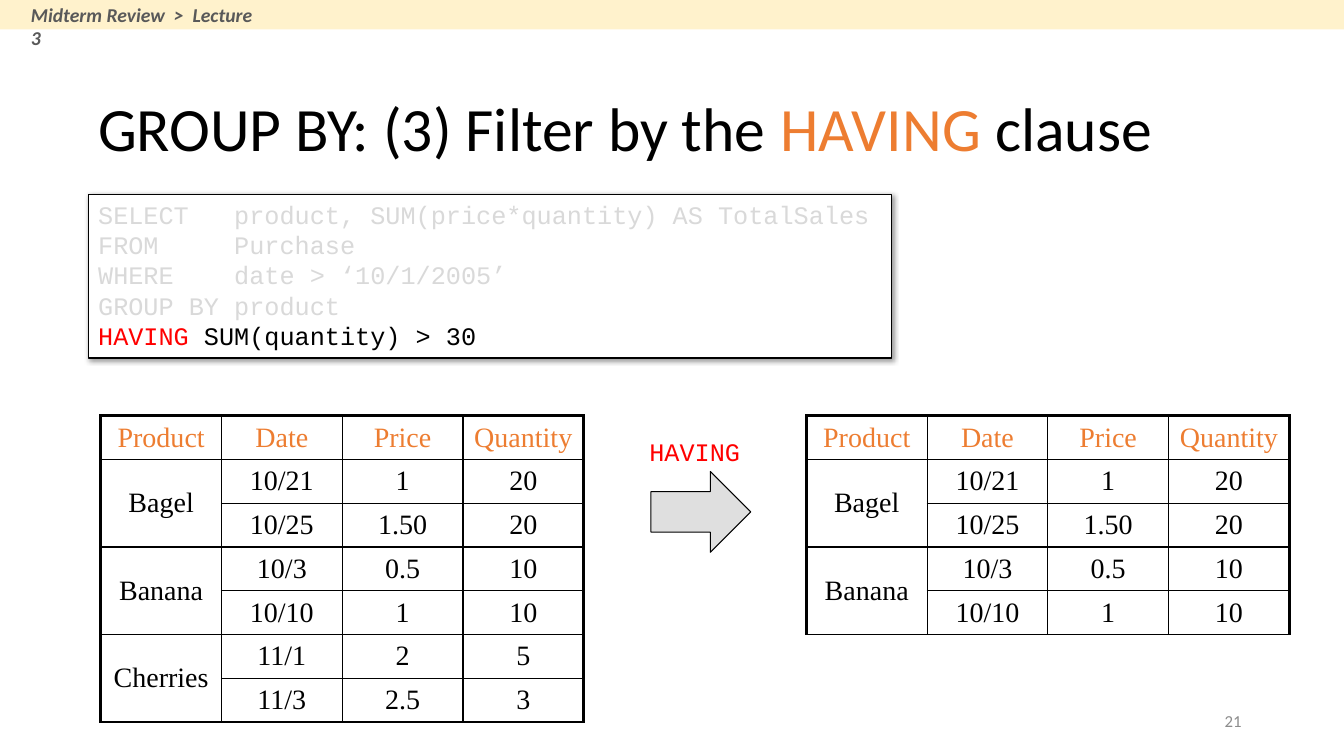
from lxml import etree
from pptx import Presentation
from pptx import util as u
from pptx.dml import color
from pptx.enum import shapes, text
from pptx.oxml import ns

PX = 9525
COLORS = {
    "black": "000000", "white": "FFFFFF", "orange": "ED7D31", "red": "FF0000",
    "faded": "D9D9D9", "silver": "C0C0C0", "cream": "FFF2CC",
    "breadcrumb": "595959", "number": "8C8C8C",
}
TITLE = {"name": "Calibri", "size": u.Pt(44)}
CODE = {"name": "Courier New", "size": u.Pt(18)}
CELL = {"name": "Times New Roman", "size": u.Pt(20)}
BREADCRUMB = {"name": "Calibri", "size": u.Pt(14), "bold": True, "italic": True}
NUMBER = {"name": "Calibri", "size": u.Pt(12)}

QUERY = [
    [("SELECT   product, SUM(price*quantity) AS TotalSales", "faded")],
    [("FROM     Purchase", "faded")],
    [("WHERE    date > ‘10/1/2005’", "faded")],
    [("GROUP BY product", "faded")],
    [("HAVING", "red"), (" SUM(quantity) > 30", "black")],
]
HEADINGS = ["Product", "Date", "Price", "Quantity"]
PURCHASES = [
    ("Bagel", [("10/21", "1", "20"), ("10/25", "1.50", "20")]),
    ("Banana", [("10/3", "0.5", "10"), ("10/10", "1", "10")]),
    ("Cherries", [("11/1", "2", "5"), ("11/3", "2.5", "3")]),
]
OUTER, INNER = 2.25, 1


def px(*lengths):
    return [length * PX for length in lengths]


def rgb(name):
    return color.RGBColor.from_string(COLORS[name])


def apply_format(target, values):
    for name, value in values.items():
        setattr(target, name, value)


def write(frame, lines, font, paragraph_format=None):
    for index, runs in enumerate(lines):
        paragraph = frame.add_paragraph() if index else frame.paragraphs[0]
        apply_format(paragraph, paragraph_format or {})
        for words, color_name in runs:
            run = paragraph.add_run()
            run.text = words
            apply_format(run.font, font)
            run.font.color.rgb = rgb(color_name)


def add_text(parent, box, lines, font, frame_format=None, paragraph_format=None):
    frame = parent.add_textbox(*px(*box)).text_frame
    apply_format(frame, {"word_wrap": True, **(frame_format or {})})
    write(frame, lines, font, paragraph_format)


def add_block(parent, kind, box, fill, outlined=True):
    shape = parent.add_shape(kind, *px(*box))
    shape.shadow.inherit = False
    shape.fill.solid()
    shape.fill.fore_color.rgb = rgb(fill)
    if outlined:
        shape.line.color.rgb = rgb("black")
        shape.line.width = u.Pt(0.75)
    else:
        shape.line.fill.background()
    return shape


def add_color(parent, name, alpha=None):
    element = etree.SubElement(parent, ns.qn("a:srgbClr"), val=COLORS[name])
    if alpha:
        etree.SubElement(element, ns.qn("a:alpha"), val=str(alpha * 1000))


def add_shadow(shape):
    effects = shape._element.spPr.find(ns.qn("a:effectLst"))
    shadow = etree.SubElement(
        effects, ns.qn("a:outerShdw"), blurRad=str(u.Pt(4)), dist=str(u.Pt(1)),
        dir="2700000", algn="tl", rotWithShape="0")
    add_color(shadow, "black", 40)


def add_query(parent, box):
    shape = add_block(parent, shapes.MSO_SHAPE.RECTANGLE, box, "white")
    add_shadow(shape)
    frame = shape.text_frame
    apply_format(frame, {"word_wrap": True,
                         "vertical_anchor": text.MSO_ANCHOR.TOP})
    write(frame, QUERY, CODE, {"alignment": text.PP_ALIGN.LEFT})


def add_arrow(parent, box):
    arrow = add_block(parent, shapes.MSO_SHAPE.RIGHT_ARROW, box, "silver")
    fill = arrow._element.spPr.find(ns.qn("a:solidFill"))
    fill.clear()
    add_color(fill, "silver", 50)


def set_borders(cell, widths):
    properties = cell._tc.get_or_add_tcPr()
    for side, width in zip("LRTB", widths):
        line = etree.SubElement(properties, ns.qn(f"a:ln{side}"), w=str(u.Pt(width)))
        add_color(etree.SubElement(line, ns.qn("a:solidFill")), "black")


def fill_cell(cell, words, color_name):
    cell.vertical_anchor = text.MSO_ANCHOR.MIDDLE
    write(cell.text_frame, [[(words, color_name)]], CELL,
          {"alignment": text.PP_ALIGN.CENTER})


def add_purchases(parent, box, groups, bottom):
    row_count = 1 + sum(len(sales) for _, sales in groups)
    column_count = len(HEADINGS)
    table = parent.add_table(row_count, column_count, *px(*box)).table
    apply_format(table, {"first_row": False, "horz_banding": False})
    for column, heading in enumerate(HEADINGS):
        fill_cell(table.cell(0, column), heading, "orange")
    row = 1
    for product, sales in groups:
        product_cell = table.cell(row, 0)
        product_cell.merge(table.cell(row + len(sales) - 1, 0))
        fill_cell(product_cell, product, "black")
        for sale in sales:
            for column, value in enumerate(sale, 1):
                fill_cell(table.cell(row, column), value, "black")
            row += 1
    for row in range(row_count):
        for column in range(column_count):
            cell = table.cell(row, column)
            last = row + (cell.span_height if cell.is_merge_origin else 1)
            set_borders(cell, [
                OUTER if column == 0 else INNER,
                OUTER if column == column_count - 1 else INNER,
                OUTER if row == 0 else INNER,
                bottom if last == row_count else INNER,
            ])
            cell.fill.background()


def add_header(parent):
    header = parent.add_group_shape().shapes
    add_block(header, shapes.MSO_SHAPE.RECTANGLE, (0, 0, 1280, 28), "cream", False)
    add_text(header, (20, -2, 238, 33),
             [[("Midterm Review  >  Lecture 3", "breadcrumb")]], BREADCRUMB)


def main():
    presentation = Presentation()
    apply_format(presentation, dict(zip(("slide_width", "slide_height"), px(1280, 720))))
    slide = presentation.slides.add_slide(presentation.slide_layouts[6])
    parent = slide.shapes
    middle = {"vertical_anchor": text.MSO_ANCHOR.MIDDLE}
    add_text(parent, (904, 667, 288, 38), [[("21", "number")]], NUMBER, middle,
             {"alignment": text.PP_ALIGN.RIGHT})
    add_text(parent, (84, 65, 1055, 120),
             [[("GROUP BY: (3) Filter by the ", "black"), ("HAVING", "orange"),
               (" clause", "black")]], TITLE, middle, {"line_spacing": 0.9})
    add_arrow(parent, (620, 449, 95, 77))
    add_text(parent, (609, 411, 108, 38), [[("HAVING", "red")]], CODE,
             {"word_wrap": False})
    add_query(parent, (84, 185, 765, 156))
    add_purchases(parent, (96, 396, 460, 291), PURCHASES, OUTER)
    add_purchases(parent, (768, 396, 460, 208), PURCHASES[:2], INNER)
    add_header(parent)
    presentation.save("out.pptx")


if __name__ == "__main__":
    main()
